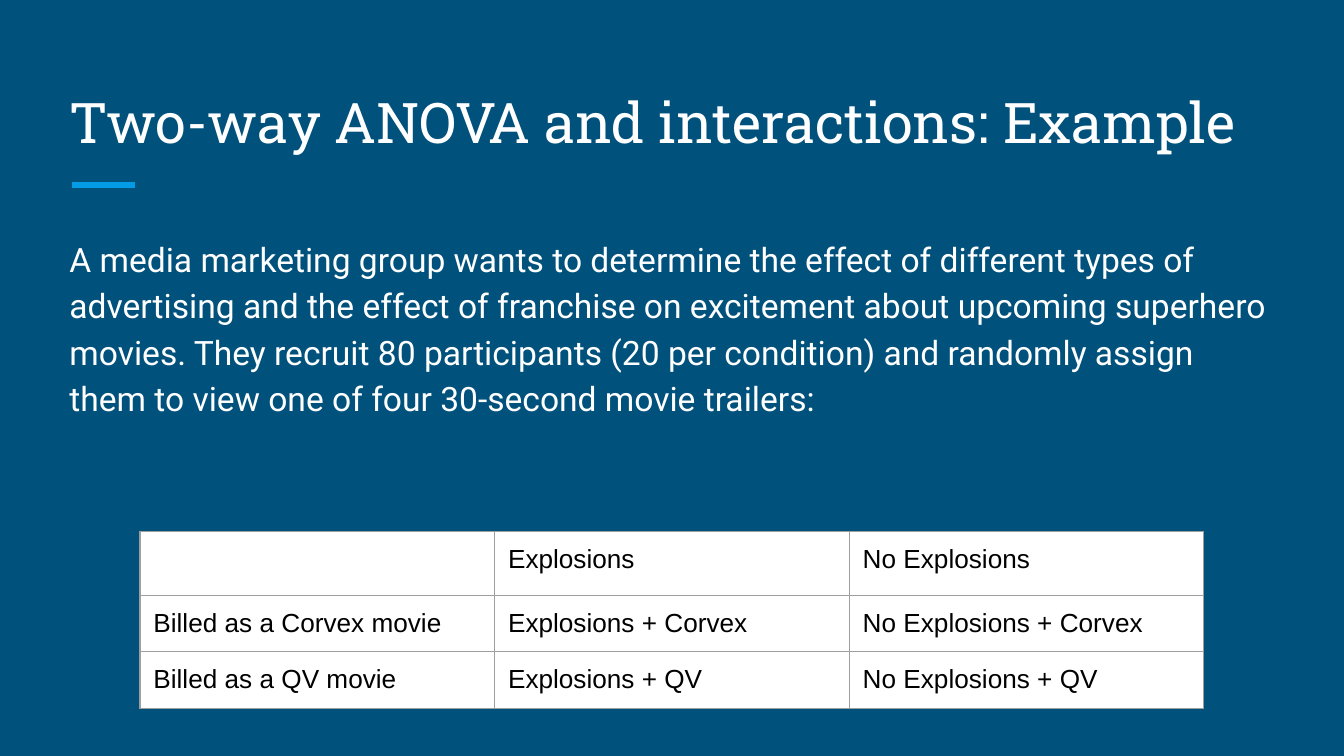
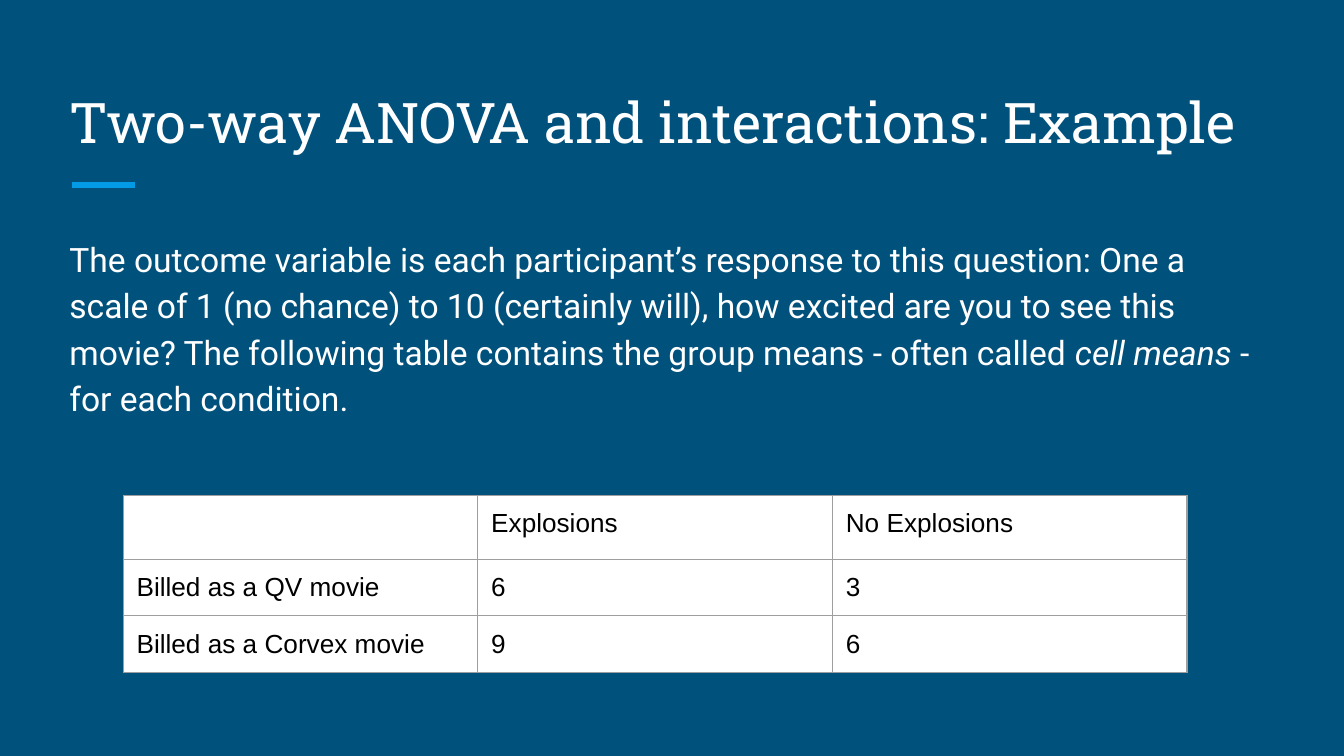
from lxml.etree import SubElement
from pptx import Presentation
from pptx.dml.color import RGBColor
from pptx.enum.shapes import MSO_CONNECTOR as Connector
from pptx.enum.text import MSO_ANCHOR as Anchor, MSO_AUTO_SIZE as AutoSize, PP_ALIGN as Align
from pptx.oxml.ns import qn
from pptx.util import Pt

NAVY, SKY, WHITE, BLACK, GREY = "00517C", "039BE5", "FFFFFF", "000000", "9E9E9E"
TITLE = "Two-way ANOVA and interactions: Example"
TITLE_BOX = (30, 36, 659, 54)
BODY_BOX = (30, 117.5, 659, 242.5)
INSET = 7.2
COLUMN_WIDTH = 190
HEADER_HEIGHT, ROW_HEIGHT = 34.3, 30.25


def color(value):
    return RGBColor.from_string(value)


def write(frame, *spans, font, size, ink, line_spacing=1.0, space_after=0):
    """Fill a text frame with one paragraph; a span is a string or (string, italic)."""
    para = frame.paragraphs[0]
    para.alignment = Align.LEFT
    para.line_spacing = line_spacing
    para.space_before, para.space_after = Pt(0), Pt(space_after)
    for span in spans:
        words, italic = (span, False) if isinstance(span, str) else span
        run = para.add_run()
        run.text = words
        run.font.name, run.font.size = font, Pt(size)
        run.font.italic = italic
        run.font.color.rgb = color(ink)
    return para


def place(box, bounds, anchor):
    box.left, box.top, box.width, box.height = map(Pt, bounds)
    frame = box.text_frame
    frame.word_wrap = True
    frame.auto_size = AutoSize.NONE
    frame.vertical_anchor = anchor
    frame.margin_left = frame.margin_right = Pt(INSET)
    frame.margin_top = frame.margin_bottom = Pt(INSET)
    return frame


def remove_bullet(para):
    properties = para._p.get_or_add_pPr()
    properties.set("marL", "0")
    properties.set("indent", "0")
    SubElement(properties, qn("a:buNone"))


def add_accent(page):
    accent = page.shapes.add_connector(Connector.STRAIGHT, Pt(38.6), Pt(99), Pt(72.2), Pt(99))
    accent.line.color.rgb = color(SKY)
    accent.line.width = Pt(3)
    SubElement(accent._element.spPr, qn("a:effectLst"))


def add_page(deck, *body):
    page = deck.slides.add_slide(deck.slide_layouts[1])
    add_accent(page)
    write(place(page.shapes.title, TITLE_BOX, Anchor.BOTTOM), TITLE,
          font="Roboto Slab", size=30, ink=WHITE)
    para = write(place(page.placeholders[1], BODY_BOX, Anchor.TOP), *body,
                 font="Roboto", size=18, ink=WHITE, line_spacing=1.15, space_after=16)
    remove_bullet(para)
    return page


def format_cell(cell, words):
    cell.margin_left = cell.margin_right = Pt(INSET)
    cell.margin_top = cell.margin_bottom = Pt(INSET)
    if words:
        write(cell.text_frame, words, font="Arial", size=14, ink=BLACK)
    else:
        SubElement(cell.text_frame.paragraphs[0]._p, qn("a:endParaRPr"), sz="1400")
    properties = cell._tc.get_or_add_tcPr()
    for side in ("lnL", "lnR", "lnT", "lnB"):
        border = SubElement(properties, qn(f"a:{side}"), w=str(Pt(0.75)))
        fill = SubElement(border, qn("a:solidFill"))
        SubElement(fill, qn("a:srgbClr"), val=GREY)
    cell.fill.solid()
    cell.fill.fore_color.rgb = color(WHITE)


def add_conditions_table(page, left, top, *rows):
    rows = [("", "Explosions", "No Explosions"), *rows]
    heights = [HEADER_HEIGHT] + [ROW_HEIGHT] * (len(rows) - 1)
    columns = len(rows[0])
    table = page.shapes.add_table(len(rows), columns, Pt(left), Pt(top),
                                  Pt(COLUMN_WIDTH * columns), Pt(sum(heights))).table
    table.first_row = table.horz_banding = False
    for column in table.columns:
        column.width = Pt(COLUMN_WIDTH)
    for row, height, texts in zip(table.rows, heights, rows):
        row.height = Pt(height)
        for cell, words in zip(row.cells, texts):
            format_cell(cell, words)


def main():
    deck = Presentation()
    deck.slide_width, deck.slide_height = Pt(720), Pt(405)
    background = deck.slide_master.background.fill
    background.solid()
    background.fore_color.rgb = color(NAVY)

    design = add_page(
        deck,
        "A media marketing group wants to determine the effect of different types of "
        "advertising and the effect of franchise on excitement about upcoming superhero "
        "movies. They recruit 80 participants (20 per condition) and randomly assign them "
        "to view one of four 30-second movie trailers:")
    add_conditions_table(
        design, 75, 284.6,
        ("Billed as a Corvex movie", "Explosions + Corvex", "No Explosions + Corvex"),
        ("Billed as a QV movie", "Explosions + QV", "No Explosions + QV"))

    means = add_page(
        deck,
        "The outcome variable is each participant’s response to this question: One a scale "
        "of 1 (no chance) to 10 (certainly will), how excited are you to see this movie? "
        "The following table contains the group means - often called ",
        ("cell means", True),
        " - for each condition.")
    add_conditions_table(
        means, 66, 265.4,
        ("Billed as a QV movie", "6", "3"),
        ("Billed as a Corvex movie", "9", "6"))

    deck.save("out.pptx")


if __name__ == "__main__":
    main()
